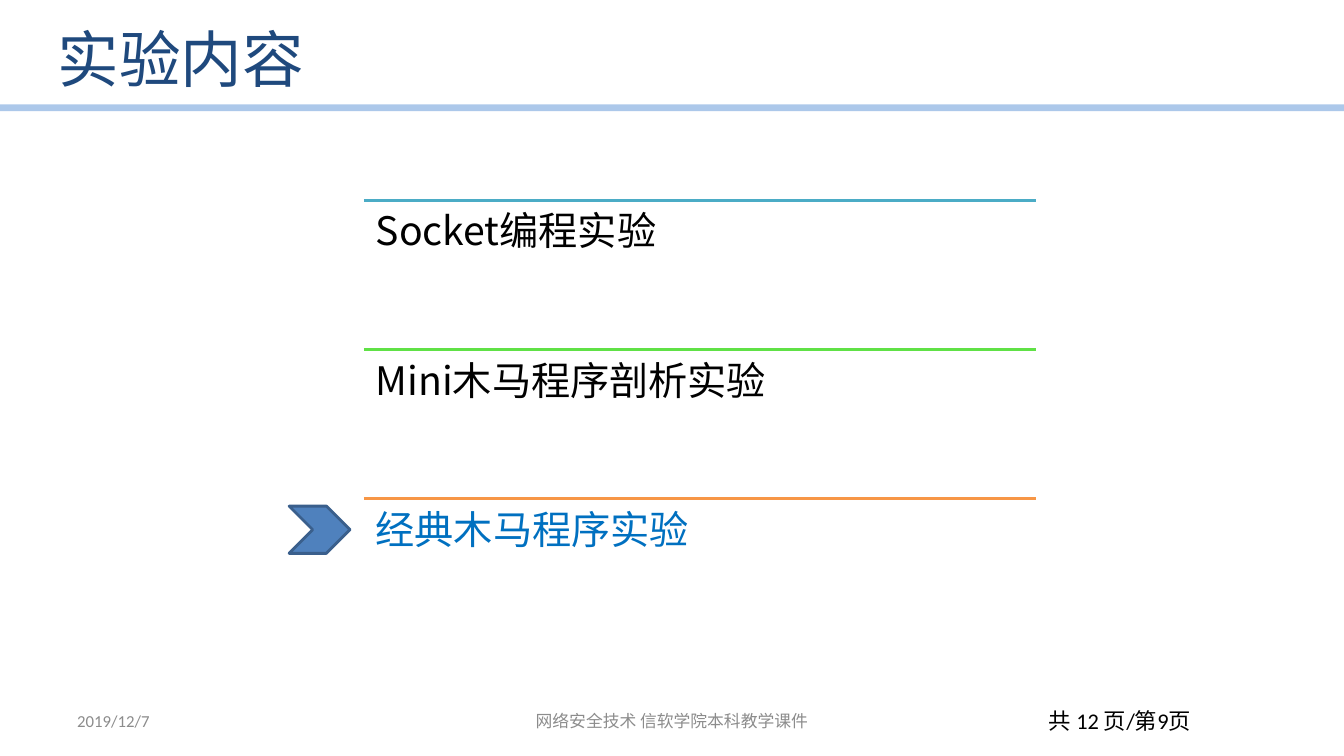
"""Build the experiment contents slide with its three ruled topics."""
from lxml import etree
from pptx import Presentation
from pptx.dml.color import RGBColor
from pptx.enum.shapes import MSO_CONNECTOR, MSO_SHAPE
from pptx.enum.text import MSO_ANCHOR, PP_ALIGN
from pptx.oxml.ns import qn
from pptx.util import Pt

STRAIGHT = MSO_CONNECTOR.STRAIGHT
CHEVRON = MSO_SHAPE.CHEVRON
TOP, MIDDLE = MSO_ANCHOR.TOP, MSO_ANCHOR.MIDDLE
LEFT, CENTER = PP_ALIGN.LEFT, PP_ALIGN.CENTER
LATIN, CJK = "Calibri", "Noto Sans CJK SC"
COLORS = {
    "band": "8EB4E3", "title": "1F497D", "footer": "8C8C8C", "black": "000000",
    "teal": "4BACC6", "green": "60E146", "orange": "F79646",
    "current": "0070C0", "arrow": "4F81BD", "arrow_edge": "3A5F8C",
}


def add_rule(page, left, top, width, color, weight):
    """Draw a horizontal line without a shadow."""
    rule = page.shapes.add_connector(STRAIGHT, Pt(left), Pt(top), Pt(left + width), Pt(top))
    rule.line.color.rgb = RGBColor.from_string(COLORS[color])
    rule.line.width = Pt(weight)
    etree.SubElement(rule._element.spPr, qn("a:effectLst"))
    return rule


def add_text(page, text, place, size, font, color, align=LEFT, anchor=MIDDLE):
    """Place a one-paragraph text box."""
    box = page.shapes.add_textbox(*map(Pt, place))
    box.text_frame.word_wrap = True
    box.text_frame.vertical_anchor = anchor
    para = box.text_frame.paragraphs[0]
    para.alignment = align
    span = para.add_run()
    span.text = text
    for name, value in {"size": Pt(size), "name": font}.items():
        setattr(span.font, name, value)
    span.font.color.rgb = RGBColor.from_string(COLORS[color])
    etree.SubElement(span._r.get_or_add_rPr(), qn("a:ea"), typeface=CJK)
    return box


deck = Presentation()
deck.slide_width, deck.slide_height = Pt(960), Pt(540)
page = deck.slides.add_slide(deck.slide_layouts[6])

band = add_rule(page, 0, 77, 960, "band", 4.75)
band_color = band._element.spPr.find(".//" + qn("a:srgbClr"))
etree.SubElement(band_color, qn("a:alpha"), val="73000")

add_text(page, "实验内容", (34, 6.5, 793.5, 70), 44, CJK, "title")

footers = [
    ("2019/12/7", 48, 224, 12, "footer", LEFT),
    ("网络安全技术 信软学院本科教学课件", 328, 304, 12, "footer", CENTER),
    ("共 12 页/第9页", 688, 224, 16, "black", CENTER),
]
for text, left, width, size, color, align in footers:
    add_text(page, text, (left, 500.5, width, 28.75), size, LATIN, color, align)

topics = [
    ("Socket编程实验", "teal", "black"),
    ("Mini木马程序剖析实验", "green", "black"),
    ("经典木马程序实验", "orange", "current"),
]
topic_left, topic_width, first_top, pitch = 260, 480, 143, 106.67
insets = dict.fromkeys(("margin_left", "margin_top", "margin_right", "margin_bottom"), Pt(8.4))
for index, (text, rule_color, text_color) in enumerate(topics):
    top = first_top + index * pitch
    add_rule(page, topic_left, top, topic_width, rule_color, 2)
    topic = add_text(page, text, (topic_left, top, topic_width, pitch),
                     28, CJK, text_color, anchor=TOP)
    for name, value in insets.items():
        setattr(topic.text_frame, name, value)
    topic.text_frame.paragraphs[0].line_spacing = 0.9

arrow = page.shapes.add_shape(CHEVRON, Pt(206.5), Pt(361.5), Pt(43.5), Pt(33.75))
arrow.shadow.inherit = False
arrow.fill.solid()
arrow.fill.fore_color.rgb = RGBColor.from_string(COLORS["arrow"])
arrow.line.color.rgb = RGBColor.from_string(COLORS["arrow_edge"])
arrow.line.width = Pt(2)

deck.save("out.pptx")
